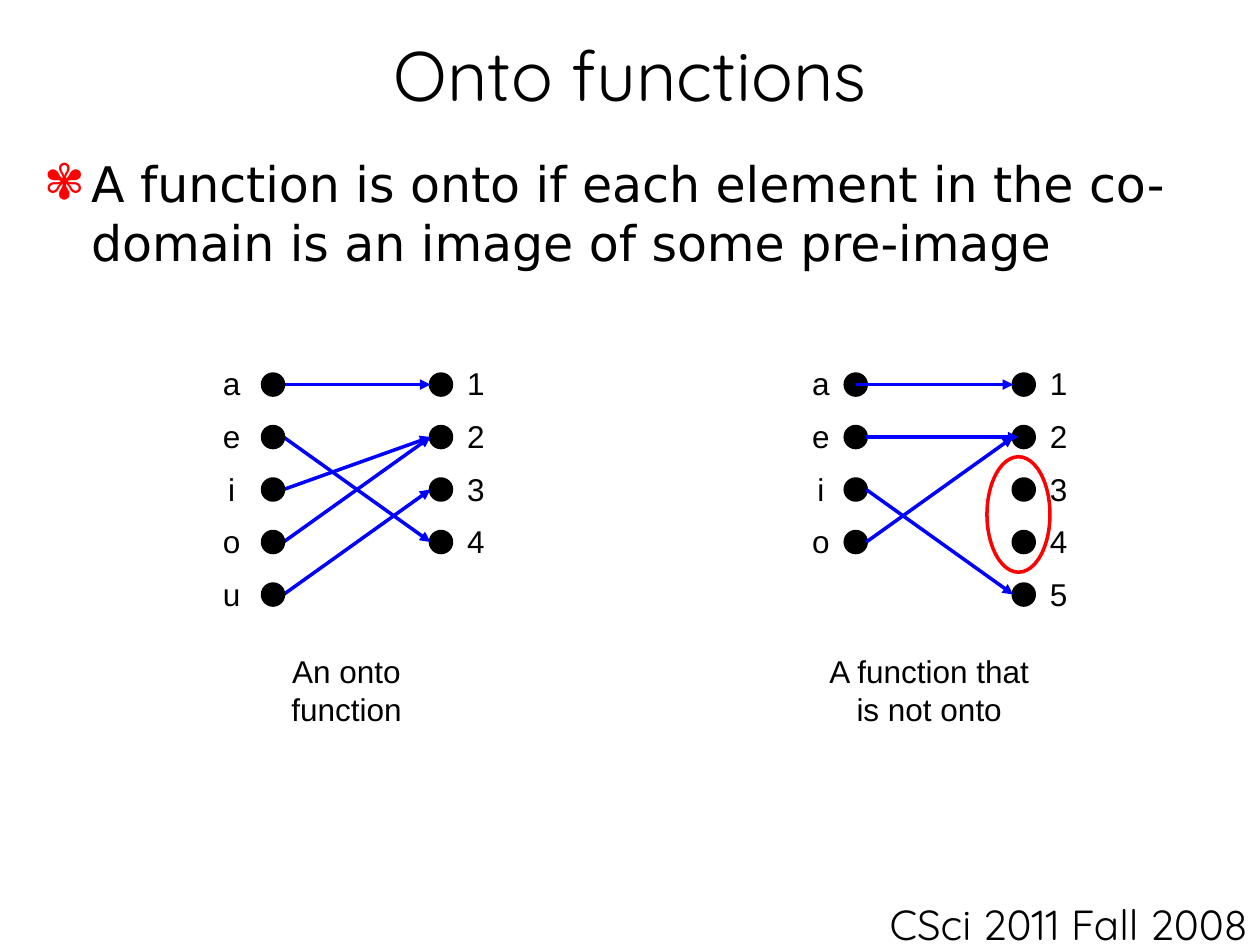
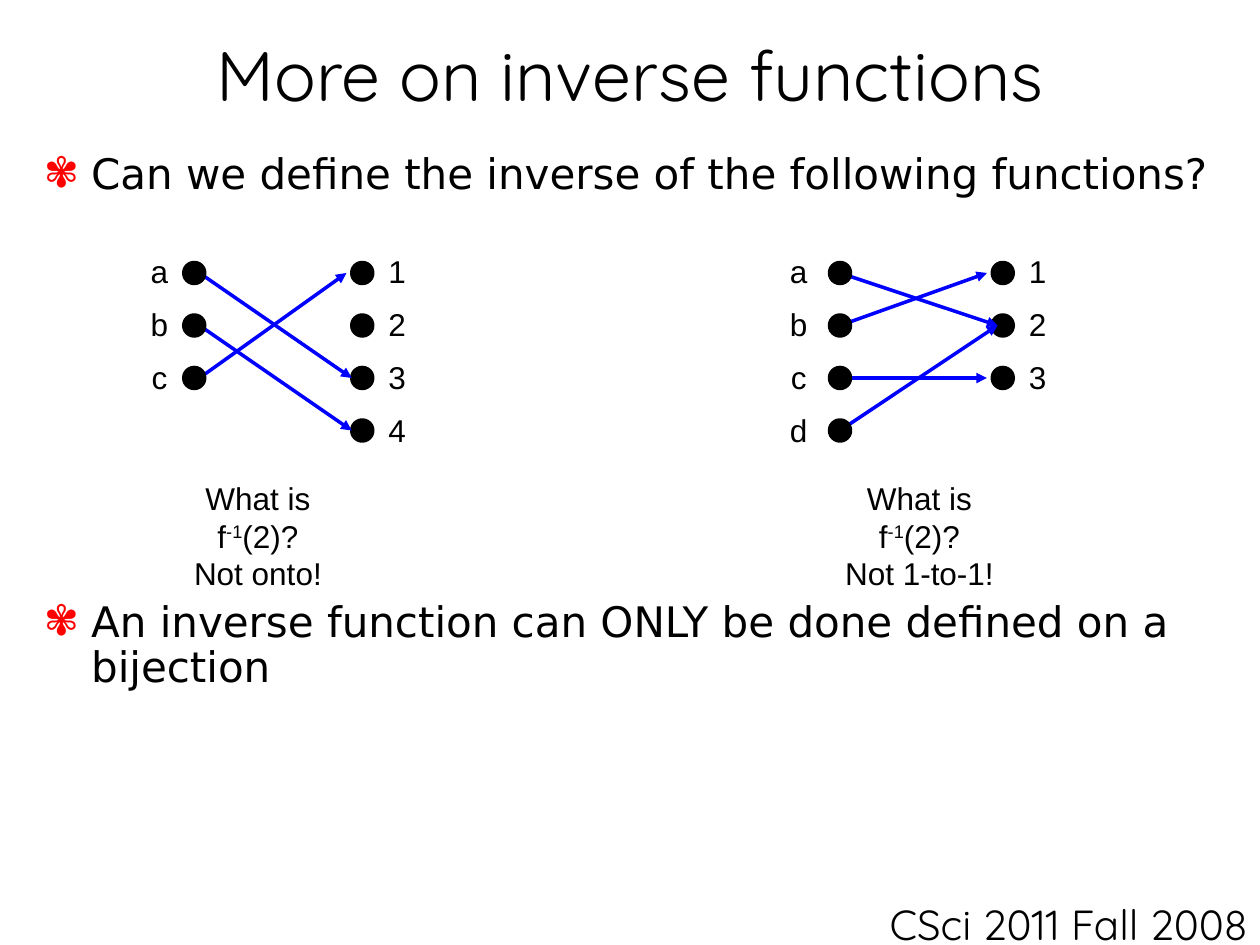
from lxml import etree
from pptx import Presentation
from pptx import util as u
from pptx.dml.color import RGBColor
from pptx.enum import shapes, text
from pptx.oxml.ns import qn

COLOURS = {"ink": "000000", "arrow": "0000FF", "accent": "FF0000"}
HEADING_FONT, BODY_FONT, LABEL_FONT = "Quicksand", "DejaVu Sans", "Arial"
PX_PER_INCH = 96
SLIDE_WIDTH, SLIDE_HEIGHT = 960, 720
DOT, ROW = 16, 40
LABEL_WIDTH, LABEL_RISE, LABEL_GAP = 33, 24, 18


def px(length):
    """Turn whole px into EMU."""
    return u.Emu(length * u.Inches(1) // PX_PER_INCH)


def colour(name):
    """Look up a shared colour."""
    return RGBColor.from_string(COLOURS[name])


def format_runs(paragraph, font_name, size):
    """Give every run of a paragraph one font, size and the ink colour."""
    for run in paragraph.runs:
        run.font.name = font_name
        run.font.size = u.Pt(size)
        run.font.color.rgb = colour("ink")


def add_text_box(parent, left, top, width, height, wrap=True):
    """Add an empty text box and return its text frame."""
    shape = parent.shapes.add_textbox(px(left), px(top), px(width), px(height))
    shape.text_frame.word_wrap = wrap
    return shape.text_frame


def add_ellipse(parent, left, top, width, height, line, fill=None):
    """Add an outlined ellipse, filled when a fill colour is named."""
    shape = parent.shapes.add_shape(
        shapes.MSO_SHAPE.OVAL, px(left), px(top), px(width), px(height))
    shape.shadow.inherit = False
    shape.line.color.rgb = colour(line)
    shape.line.width = u.Pt(2)
    if fill:
        shape.fill.solid()
        shape.fill.fore_color.rgb = colour(fill)
    else:
        shape.fill.background()


def add_dots(parent, left, top, count):
    """Add a column of dots, one to a row."""
    for row in range(count):
        add_ellipse(parent, left, top + row * ROW, DOT, DOT, "ink", "ink")


def add_arrow(parent, start, end):
    """Add an arrow between two points."""
    connector = parent.shapes.add_connector(
        shapes.MSO_CONNECTOR.STRAIGHT, *map(px, start + end))
    connector.line.color.rgb = colour("arrow")
    connector.line.width = u.Pt(2)
    etree.SubElement(connector.line._get_or_add_ln(), qn("a:tailEnd"), type="triangle")
    etree.SubElement(connector._element.spPr, qn("a:effectLst"))


def add_labels(parent, left, top, labels):
    """Add a column of element names spaced like the dots."""
    frame = add_text_box(parent, left, top, LABEL_WIDTH, len(labels) * ROW + 10, False)
    frame.text = "\n".join(labels)
    for paragraph in frame.paragraphs:
        paragraph.alignment = text.PP_ALIGN.CENTER
        paragraph.line_spacing = 1.4
        format_runs(paragraph, LABEL_FONT, 18)


def add_caption(parent, left, top, width, height, lines, wrap=False):
    """Add a centred caption; every second run of a line is superscript."""
    frame = add_text_box(parent, left, top, width, height, wrap)
    for number, pieces in enumerate(lines):
        paragraph = frame.add_paragraph() if number else frame.paragraphs[0]
        paragraph.alignment = text.PP_ALIGN.CENTER
        for index, piece in enumerate(pieces):
            run = paragraph.add_run()
            run.text = piece
            if index % 2:
                run.font._element.set("baseline", "30000")
        format_runs(paragraph, LABEL_FONT, 18)


def add_mapping(slide, left, top, domain, codomain, arrows,
                gap=128, label_shift=-35, dots_on_top=True):
    """Draw a function; arrows are (from row, to row, start shift, end shift)."""
    group = slide.shapes.add_group_shape()
    add_dots(group, left + gap, top, len(codomain))
    if not dots_on_top:
        add_dots(group, left, top, len(domain))
    add_labels(group, left + label_shift, top - LABEL_RISE, domain)
    add_labels(group, left + gap + LABEL_GAP, top - LABEL_RISE, codomain)
    middle = top + DOT // 2
    for source, target, start_shift, end_shift in arrows:
        add_arrow(group, (left + start_shift, middle + source * ROW),
                  (left + gap + end_shift, middle + target * ROW))
    if dots_on_top:
        add_dots(group, left, top, len(domain))


def add_bullets(slide, items, size, line_spacing, space_before):
    """Add the body text with red flower bullets."""
    frame = add_text_box(slide, 24, 112, 912, 552)
    frame.text = "\n".join(items)
    for number, paragraph in enumerate(frame.paragraphs):
        properties = paragraph._p.get_or_add_pPr()
        properties.set("marL", str(px(36)))
        properties.set("indent", str(px(-36)))
        paragraph.line_spacing = line_spacing
        if number:
            paragraph.space_before = u.Pt(space_before)
        bullet_colour = etree.SubElement(properties, qn("a:buClr"))
        etree.SubElement(bullet_colour, qn("a:srgbClr"), val=COLOURS["accent"])
        etree.SubElement(properties, qn("a:buFont"), typeface=BODY_FONT)
        etree.SubElement(properties, qn("a:buChar"), char="✾")
        format_runs(paragraph, BODY_FONT, size)


def add_titled_slide(presentation, title):
    """Add a slide with the shared title style and course footer."""
    slide = presentation.slides.add_slide(presentation.slide_layouts[5])
    shape = slide.shapes.title
    shape.left, shape.top, shape.width, shape.height = map(px, (24, 16, 912, 80))
    frame = shape.text_frame
    frame.text = title
    frame.auto_size = text.MSO_AUTO_SIZE.NONE
    frame.vertical_anchor = text.MSO_ANCHOR.MIDDLE
    frame.paragraphs[0].alignment = text.PP_ALIGN.CENTER
    format_runs(frame.paragraphs[0], HEADING_FONT, 40)
    footer = add_text_box(slide, 632, 680, 328, 40)
    footer.text = "CSci 2011 Fall 2008"
    footer.paragraphs[0].alignment = text.PP_ALIGN.RIGHT
    format_runs(footer.paragraphs[0], HEADING_FONT, 24)
    return slide


def build_onto_slide(presentation):
    """Contrast an onto function with one that is not."""
    slide = add_titled_slide(presentation, "Onto functions")
    add_bullets(slide, ["A function is onto if each element in the co-domain "
                        "is an image of some pre-image"], 28, 1.0, 0)
    add_mapping(slide, 200, 285, "aeiou", "1234",
                [(0, 0, 8, 0), (1, 3, 16, 0), (2, 1, 16, 0), (3, 1, 16, 0), (4, 2, 16, 0)],
                label_shift=-40)
    add_caption(slide, 168, 492, 192, 38, [["An onto function"]])
    add_mapping(slide, 644, 285, "aeio", "12345",
                [(0, 0, 8, 0), (1, 1, 16, 4), (3, 1, 16, 0), (2, 4, 16, 0)],
                dots_on_top=False)
    add_caption(slide, 616, 492, 184, 67, [["A function that is not onto"]], wrap=True)
    add_ellipse(slide, 752, 348, 48, 88, "accent")


def build_inverse_slide(presentation):
    """Show two functions that have no inverse."""
    slide = add_titled_slide(presentation, "More on inverse functions")
    add_bullets(slide, ["Can we define the inverse of the following functions?",
                        "An inverse function can ONLY be done defined on a bijection"],
                24, 0.9, 230)
    add_mapping(slide, 140, 200, "abc", "1234",
                [(1, 3, 12, 0), (0, 2, 12, 0), (2, 0, 12, -4)])
    add_mapping(slide, 632, 200, "abcd", "123",
                [(1, 0, 8, -4), (0, 1, 8, 4), (2, 2, 8, -4), (3, 1, 8, 4)],
                gap=124, label_shift=-40)
    for left, verdict in ((113, "Not onto!"), (617, "Not 1-to-1!")):
        add_caption(slide, left, 360, 167, 67, [["What is f", "-1", "(2)?"], [verdict]])


def main():
    """Build and save the slides."""
    presentation = Presentation()
    presentation.slide_width = px(SLIDE_WIDTH)
    presentation.slide_height = px(SLIDE_HEIGHT)
    build_onto_slide(presentation)
    build_inverse_slide(presentation)
    presentation.save("out.pptx")


if __name__ == "__main__":
    main()
